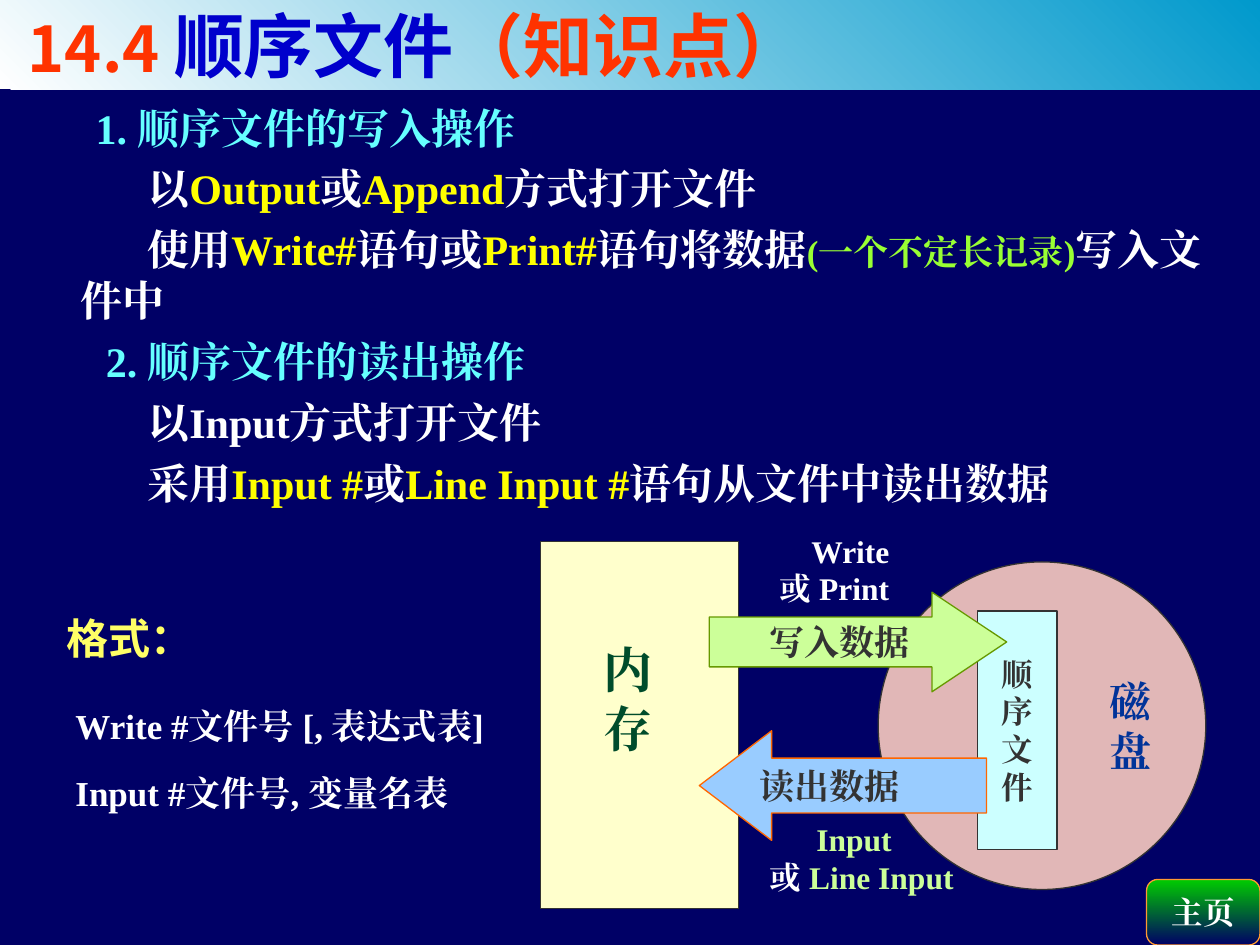
"""Build the slide on writing and reading sequential files."""
from dataclasses import dataclass
from typing import Any, Optional

from lxml import etree
from pptx import Presentation
from pptx import util as u
from pptx.dml import color
from pptx.enum import shapes, text
from pptx.oxml.ns import qn

SERIF, SANS = "Times New Roman", "Noto Sans CJK SC"
NAVY, WHITE, YELLOW, CYAN = "000066", "FFFFFF", "FFFF00", "66FFFF"
LIME, DARK, RED = "CCFF99", "333333", "FF3300"
LEFT, CENTER = text.PP_ALIGN.LEFT, text.PP_ALIGN.CENTER
TOP, MIDDLE = text.MSO_ANCHOR.TOP, text.MSO_ANCHOR.MIDDLE
PRESET = shapes.MSO_SHAPE


@dataclass
class Run:
    text: str
    color: str = WHITE
    size: float = 24
    face: str = SERIF


@dataclass
class Line:
    runs: list[Run]
    indent: float = 0
    before: float = 0
    margin: float = 0


@dataclass
class Part:
    preset: Any
    box: tuple[float, float, float, float]
    fill: str
    outline: str
    lines: list[Line]
    align: Any = CENTER
    anchor: Any = MIDDLE
    insets: tuple[float, float, float, float] = (0.1, 0.05, 0.1, 0.05)
    adjustments: tuple[float, ...] = ()
    fill_end: Optional[str] = None


def rgb(value: str) -> color.RGBColor:
    return color.RGBColor.from_string(value)


def assign(target: Any, values: dict[str, Any]) -> None:
    for name, value in values.items():
        setattr(target, name, value)


def place(shape: Any, box: tuple[float, float, float, float]) -> None:
    assign(shape, dict(zip(("left", "top", "width", "height"), map(u.Inches, box))))


def shade(fill: Any, start: str, end: str, clockwise: float) -> None:
    fill.gradient()
    fill.gradient_angle = 360 - clockwise
    for stop, value in zip(fill.gradient_stops, (start, end)):
        stop.color.rgb = rgb(value)


def write(frame: Any, lines: list[Line], align: Any = LEFT, anchor: Any = TOP,
          insets: tuple[float, float, float, float] = (0.1, 0.05, 0.1, 0.05)) -> None:
    sides = ("margin_left", "margin_top", "margin_right", "margin_bottom")
    assign(frame, {"word_wrap": True, "auto_size": text.MSO_AUTO_SIZE.NONE,
                   "vertical_anchor": anchor, **dict(zip(sides, map(u.Inches, insets)))})
    for index, line in enumerate(lines):
        paragraph = frame.add_paragraph() if index else frame.paragraphs[0]
        assign(paragraph, {"alignment": align, "space_before": u.Pt(line.before)})
        properties = paragraph._p.get_or_add_pPr()
        properties.set("marL", str(u.Inches(line.margin)))
        properties.set("indent", str(u.Inches(line.indent)))
        etree.SubElement(properties, qn("a:buNone"))
        for item in line.runs:
            run = paragraph.add_run()
            run.text = item.text
            assign(run.font, {"name": item.face, "size": u.Pt(item.size), "bold": True})
            run.font.color.rgb = rgb(item.color)
            etree.SubElement(run._r.get_or_add_rPr(), qn("a:ea"), typeface=item.face)


def draw(slide: Any, part: Part) -> None:
    shape = slide.shapes.add_shape(part.preset, *map(u.Inches, part.box))
    shape.shadow.inherit = False
    for index, value in enumerate(part.adjustments):
        shape.adjustments[index] = value
    if part.fill_end:
        shade(shape.fill, part.fill, part.fill_end, 90)
    else:
        shape.fill.solid()
        shape.fill.fore_color.rgb = rgb(part.fill)
    shape.line.color.rgb = rgb(part.outline)
    shape.line.width = u.Pt(0.75)
    write(shape.text_frame, part.lines, part.align, part.anchor, part.insets)


def stack(characters: str, hue: str, size: float) -> list[Line]:
    return [Line([Run(character, hue, size)]) for character in characters]


def command_label(box: tuple[float, float, float, float], first: str, second: str,
                  hue: str, indent: float) -> Part:
    lines = [Line([Run(first, hue, 18)], indent),
             Line([Run("或 ", WHITE, 18), Run(second, hue, 18)])]
    return Part(PRESET.RECTANGLE, box, NAVY, NAVY, lines, LEFT, TOP, (0.01, 0, 0.01, 0))


def step(indent: float, *runs: Run, before: float = 6) -> Line:
    return Line(list(runs), indent, before, 0.38)


TITLE = [Line([Run("14.4 ", RED, 36, "Noto Sans CJK JP"),
               Run("顺序文件", "0000CC", 40, SANS), Run("（知识点）", RED, 40, SANS)])]

STEPS = [
    step(0.12, Run("1. 顺序文件的写入操作", CYAN), before=0),
    step(0.53, Run("以"), Run("Output", YELLOW), Run("或"), Run("Append", YELLOW),
         Run("方式打开文件")),
    step(0.53, Run("使用"), Run("Write#", YELLOW), Run("语句或"), Run("Print#", YELLOW),
         Run("语句将数据"), Run("(一个不定长记录)", "99FF33", 20), Run("写入文件中")),
    step(0.2, Run("2. 顺序文件的读出操作", CYAN)),
    step(0.53, Run("以Input方式打开文件")),
    step(0.53, Run("采用"), Run("Input #", YELLOW), Run("或"), Run("Line Input #", YELLOW),
         Run("语句从文件中读出数据")),
]

SYNTAX = [
    Line([Run("格式：", "FFFF66", 24, SANS)]),
    Line([Run("Write #文件号 [, 表达式表]", WHITE, 20)], 0.07, 24),
    Line([Run("Input #文件号, 变量名表", WHITE, 20)], 0.07, 14),
]

DIAGRAM = [
    command_label((6.1, 6.51, 1.57, 0.63), "Input", "Line Input", LIME, 0.37),
    Part(PRESET.OVAL, (6.97, 4.46, 2.6, 2.6), "E1B7B7", DARK,
         stack("磁盘", "003399", 24), insets=(1.4, 0.05, 0, 0.05)),
    command_label((6.18, 4.22, 1.1, 0.63), "Write", "Print", WHITE, 0.25),
    Part(PRESET.RECTANGLE, (7.76, 4.85, 0.63, 1.89), "CCFFFF", DARK,
         stack("顺序文件", DARK, 18)),
    Part(PRESET.RECTANGLE, (4.29, 4.3, 1.57, 2.91), "FFFFCC", DARK,
         stack("内存", "004C2B", 28), insets=(0.1, 0.05, 0.28, 0.48)),
    Part(PRESET.RIGHT_ARROW, (5.63, 4.7, 2.36, 0.79), LIME, "669900",
         stack(["写入数据"], DARK, 20), adjustments=(0.5, 0.75)),
    Part(PRESET.LEFT_ARROW, (5.55, 5.8, 2.28, 0.87), "99CCFF", "FF6600",
         stack(["读出数据"], DARK, 20), insets=(0.1, 0.05, 0.6, 0.05),
         adjustments=(0.5, 0.66)),
    Part(PRESET.ROUNDED_RECTANGLE, (9.1, 6.98, 0.9, 0.52), "00CC00", "FF9933",
         stack(["主页"], WHITE, 18), adjustments=(0.17,), fill_end=NAVY),
]


def main() -> None:
    deck = Presentation()
    assign(deck, {"slide_width": u.Inches(10), "slide_height": u.Inches(7.5)})
    slide = deck.slides.add_slide(deck.slide_layouts[1])
    slide.background.fill.solid()
    slide.background.fill.fore_color.rgb = rgb(NAVY)
    title, body = slide.placeholders
    place(title, (0, 0, 10, 0.71))
    shade(title.fill, WHITE, "0099CC", 315)
    write(title.text_frame, TITLE, anchor=MIDDLE, insets=(0.22, 0.05, 0.1, 0.05))
    place(body, (0.16, 0.76, 9.73, 6.46))
    write(body.text_frame, STEPS)
    for part in DIAGRAM:
        draw(slide, part)
    syntax = slide.shapes.add_textbox(*map(u.Inches, (0.43, 4.81, 3.78, 1.72)))
    write(syntax.text_frame, SYNTAX)
    deck.save("out.pptx")


if __name__ == "__main__":
    main()
